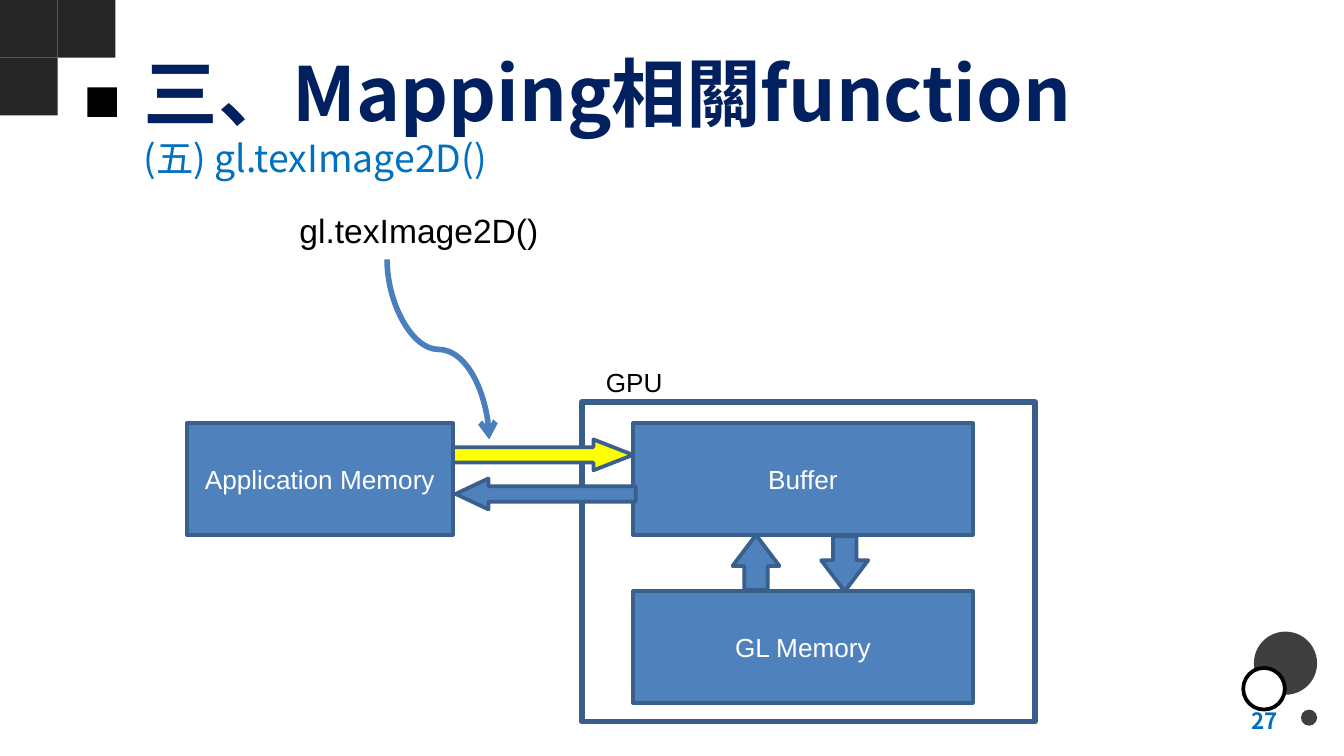
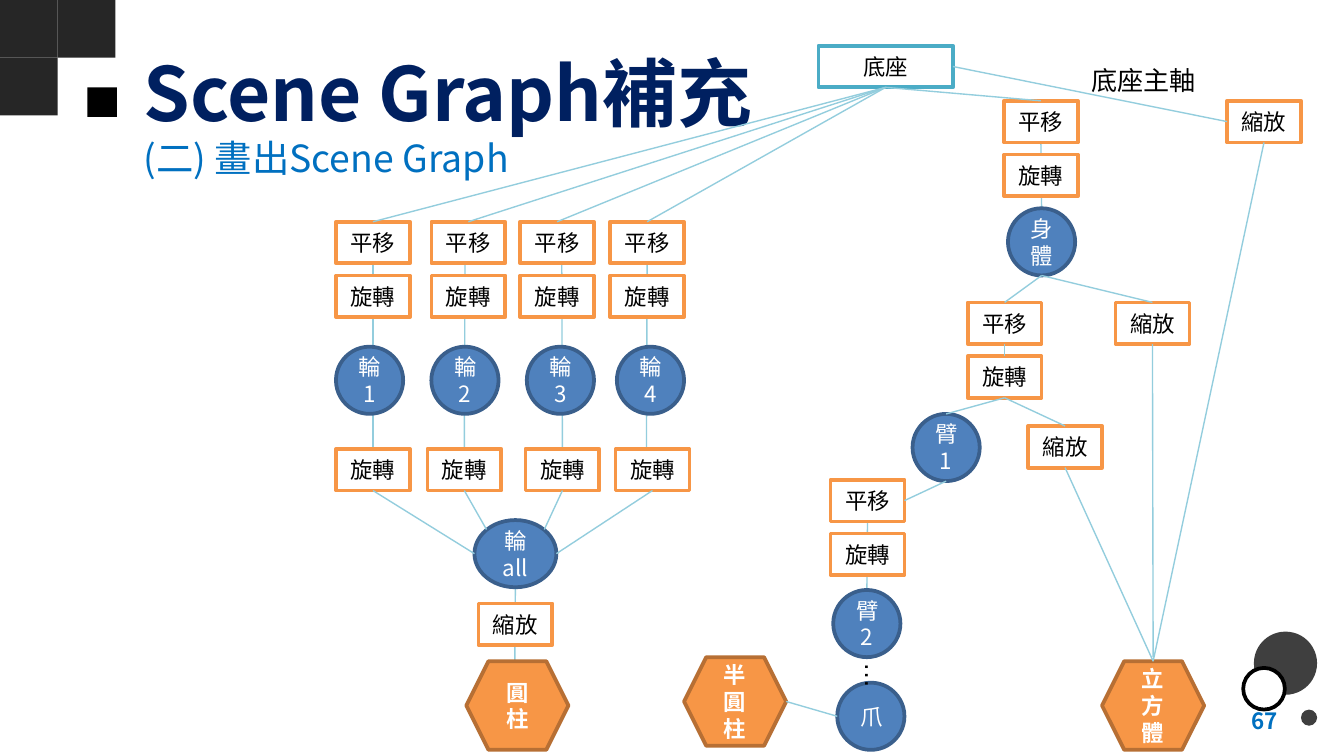
from lxml.etree import SubElement
from pptx import Presentation
from pptx.dml.color import RGBColor
from pptx.enum.shapes import MSO_CONNECTOR, MSO_SHAPE
from pptx.enum.text import MSO_ANCHOR, MSO_AUTO_SIZE, PP_ALIGN
from pptx.oxml.ns import qn
from pptx.util import Pt

PX = 9144
WIDTH = 1000

WHITE = RGBColor(0xFF, 0xFF, 0xFF)
BLACK = RGBColor(0x00, 0x00, 0x00)
CHARCOAL = RGBColor(0x26, 0x26, 0x26)
GRAY = RGBColor(0x3F, 0x3F, 0x3F)
NAVY = RGBColor(0x00, 0x20, 0x60)
SKY = RGBColor(0x00, 0x70, 0xC0)
BLUE = RGBColor(0x4F, 0x81, 0xBD)
BLUE_EDGE = RGBColor(0x3A, 0x5F, 0x8C)
CURVE_BLUE = RGBColor(0x4B, 0x7E, 0xBC)
YELLOW = RGBColor(0xFF, 0xFF, 0x00)
ORANGE = RGBColor(0xF7, 0x96, 0x46)
ORANGE_EDGE = RGBColor(0xB7, 0x6F, 0x34)
TEAL = RGBColor(0x4B, 0xAC, 0xC6)
PALE_TEAL = RGBColor(0x93, 0xCD, 0xDD)

HEAD_FONT = "Noto Sans CJK TC"
NODE_FONT = "Noto Sans CJK SC"
BODY_FONT = "Arial"

RECT, OVAL = MSO_SHAPE.RECTANGLE, MSO_SHAPE.OVAL
TOP, LEFT, BOTTOM, RIGHT = range(4)

CORNER = [
    (RECT, (0, 0, 43, 43), CHARCOAL, None),
    (RECT, (43, 0, 43, 43), CHARCOAL, None),
    (RECT, (0, 43, 43, 43), CHARCOAL, None),
    (RECT, (65, 65, 22, 22), BLACK, None),
]
BUBBLES = [
    (OVAL, (933, 470, 47, 47), GRAY, None),
    (OVAL, (968, 528, 12, 12), GRAY, None),
    (OVAL, (925, 497, 31, 31), WHITE, BLACK),
]

MEMORY_BLOCKS = [
    ("Application Memory", (139, 315, 198, 83)),
    ("Buffer", (471, 315, 253, 83)),
    ("GL Memory", (471, 440, 253, 83)),
]
GPU_FRAME = (433, 299, 337, 238)
BLOCK_ARROWS = [
    ((337, 327, 134, 23), 0, 1.28, YELLOW),
    ((339, 356, 134, 23), 180, 1.06, BLUE),
    ((542, 401, 41, 35), 270, 0.66, BLUE),
    ((608, 402, 41, 35), 90, 0.66, BLUE),
]
MEMORY_LABELS = [
    ("GPU", (441, 268, 160, 35), 14),
    ("gl.texImage2D()", (213, 151, 350, 35), 18),
]

NODE_STYLES = {
    "root": (RECT, 100, 31, WHITE, TEAL, BLACK, False),
    "step": (RECT, 55, 31, WHITE, ORANGE, BLACK, False),
    "part": (OVAL, 50, 50, BLUE, BLUE_EDGE, WHITE, False),
    "hub": (OVAL, 61, 50, BLUE, BLUE_EDGE, WHITE, False),
    "solid": (MSO_SHAPE.HEXAGON, 76, 66, ORANGE, ORANGE_EDGE, WHITE, True),
}
NODES = {
    "base": ("root", "底座", 609, 34),
    "base scale": ("step", "縮放", 913, 75),
    "body move": ("step", "平移", 747, 75),
    "body turn": ("step", "旋轉", 747, 115),
    "body": ("part", "身體", 750, 155),
    "body scale": ("step", "縮放", 830, 225),
    "arm1 move": ("step", "平移", 720, 225),
    "arm1 turn": ("step", "旋轉", 720, 265),
    "arm1": ("part", "臂1", 679, 308),
    "arm1 scale": ("step", "縮放", 765, 317),
    "arm2 move": ("step", "平移", 618, 357),
    "arm2 turn": ("step", "旋轉", 618, 397),
    "arm2": ("part", "臂2", 620, 439),
    "claw": ("part", "爪", 623, 508),
    "wheels": ("hub", "輪all", 353, 387),
    "wheel scale": ("step", "縮放", 356, 449),
    "cylinder": ("solid", "圓柱", 347, 492),
    "half cylinder": ("solid", "半圓柱", 509, 489),
    "cube": ("solid", "立方體", 820, 492),
}
WHEEL_ROWS = [
    ("move", "step", "平移", 165, (250, 321, 387, 454)),
    ("turn", "step", "旋轉", 205, (250, 321, 387, 454)),
    ("wheel", "part", "輪{}", 258, (250, 321, 392, 459)),
    ("spin", "step", "旋轉", 334, (250, 318, 391, 458)),
]
for role, kind, words, top, lefts in WHEEL_ROWS:
    for number, left in enumerate(lefts, 1):
        NODES[f"{role}{number}"] = (kind, words.format(number), left, top)

STEMS = [
    (("arm2 move", BOTTOM), ("arm2", TOP)),
    (("body move", BOTTOM), ("body", TOP)),
    (("wheels", BOTTOM), (383, 500)),
    (("move4", BOTTOM), (481, 334)),
    ((418, 196), ("spin3", TOP)),
    ((346, 196), ("spin2", TOP)),
    (("move1", BOTTOM), ("spin1", TOP)),
]
BRANCHES = [(("base", BOTTOM), (f"move{number}", TOP)) for number in range(1, 5)] + [
    (("base", BOTTOM), ("body move", TOP)),
    (("base", RIGHT), ("base scale", LEFT)),
    (("spin1", BOTTOM), ("wheels", LEFT)),
    (("spin2", BOTTOM), (362, 394)),
    (("spin3", BOTTOM), (405, 394)),
    (("spin4", BOTTOM), ("wheels", RIGHT)),
    (("body", BOTTOM), ("arm1 move", TOP)),
    (("body", BOTTOM), ("body scale", TOP)),
    (("arm1 move", BOTTOM), ("arm1 turn", TOP)),
    (("arm1 turn", BOTTOM), ("arm1", TOP)),
    (("arm1 turn", BOTTOM), ("arm1 scale", TOP)),
    (("arm1", BOTTOM), ("arm2 move", RIGHT)),
    (("half cylinder", RIGHT), ("claw", LEFT)),
    (("body scale", BOTTOM), (858, 489)),
    (("arm1 scale", BOTTOM), ("cube", TOP)),
    (("base scale", BOTTOM), ("cube", TOP)),
]


def emu(values):
    return [int(value * PX) for value in values]


def write(frame, text, size=12, font=NODE_FONT, color=BLACK, bold=False,
          align=PP_ALIGN.LEFT, anchor=MSO_ANCHOR.TOP, wrap=True,
          fit=MSO_AUTO_SIZE.NONE):
    frame.word_wrap = wrap
    frame.auto_size = fit
    frame.vertical_anchor = anchor
    para = frame.paragraphs[0]
    para.alignment = align
    span = para.add_run()
    span.text = text
    span.font.size = Pt(size)
    span.font.bold = bold
    span.font.color.rgb = color
    span.font.name = font
    SubElement(span.font._element, qn("a:ea"), typeface=font)


def add_text(shapes, text, place, **style):
    box = shapes.add_textbox(*emu(place))
    write(box.text_frame, text, **style)
    return box


def add_figure(shapes, kind, place, fill=None, edge=None, weight=2):
    figure = shapes.add_shape(kind, *emu(place))
    figure.shadow.inherit = False
    if fill is None:
        figure.fill.background()
    else:
        figure.fill.solid()
        figure.fill.fore_color.rgb = fill
    if edge is None:
        figure.line.fill.background()
    else:
        figure.line.color.rgb = edge
        figure.line.width = Pt(weight)
    return figure


def add_line(shapes, kind, begin, end, color, weight):
    line = shapes.add_connector(kind, *emu((*begin, *end)))
    line.line.color.rgb = color
    line.line.width = Pt(weight)
    SubElement(line.element.spPr, qn("a:effectLst"))
    return line


def start_page(deck, title, title_width, subtitle, subtitle_width, number):
    page = deck.slides.add_slide(deck.slide_layouts[5])
    heading = page.shapes.title
    heading.left, heading.top, heading.width, heading.height = emu((97, 21, title_width, 94))
    write(heading.text_frame, title, size=40, font=HEAD_FONT, color=NAVY,
          bold=True, anchor=MSO_ANCHOR.MIDDLE)
    for pieces in (CORNER, BUBBLES):
        group = page.shapes.add_group_shape()
        for piece in pieces:
            add_figure(group.shapes, *piece)
    add_text(page.shapes, number, (728, 521, 233, 30), font=HEAD_FONT, color=SKY,
             bold=True, align=PP_ALIGN.RIGHT, anchor=MSO_ANCHOR.MIDDLE)
    add_text(page.shapes, subtitle, (97, 96, subtitle_width, 44), size=20,
             font=HEAD_FONT, color=SKY)
    return page


def build_memory_page(deck):
    page = start_page(deck, "三、Mapping相關function", 821, "(五) gl.texImage2D()", 306, "27")
    shapes = page.shapes.add_group_shape().shapes
    add_figure(shapes, RECT, GPU_FRAME, edge=BLUE_EDGE, weight=3)
    for text, place in MEMORY_BLOCKS:
        block = add_figure(shapes, RECT, place, BLUE, BLUE_EDGE)
        write(block.text_frame, text, size=14, font=BODY_FONT, color=WHITE,
              align=PP_ALIGN.CENTER, anchor=MSO_ANCHOR.MIDDLE)
    for place, turn, head, fill in BLOCK_ARROWS:
        arrow = add_figure(shapes, MSO_SHAPE.RIGHT_ARROW, place, fill, BLUE_EDGE)
        arrow.rotation = turn
        arrow.adjustments[0] = 0.5
        arrow.adjustments[1] = head
    curve = add_line(shapes, MSO_CONNECTOR.CURVE, (393, 222), (259, 298), CURVE_BLUE, 3)
    curve.element.spPr.find(qn("a:xfrm")).set("rot", str(270 * 60000))
    SubElement(curve.element.spPr.find(qn("a:ln")), qn("a:tailEnd"), type="arrow")
    for text, place, size in MEMORY_LABELS:
        add_text(shapes, text, place, size=size, font=BODY_FONT,
                 fit=MSO_AUTO_SIZE.SHAPE_TO_FIT_TEXT)


def locate(end):
    if end[0] not in NODES:
        return end
    name, side = end
    kind, _, left, top = NODES[name]
    _, width, height, *_ = NODE_STYLES[kind]
    across, down = {TOP: (0.5, 0), LEFT: (0, 0.5), BOTTOM: (0.5, 1), RIGHT: (1, 0.5)}[side]
    return left + width * across, top + height * down


def draw_links(page, links):
    return [add_line(page.shapes, MSO_CONNECTOR.STRAIGHT, locate(begin), locate(end),
                     PALE_TEAL, 0.75) for begin, end in links]


def join_links(lines, links, figures):
    for line, ends in zip(lines, links):
        for join, (name, side) in zip((line.begin_connect, line.end_connect), ends):
            if name in NODES and NODES[name][0] in ("root", "step"):
                join(figures[name], side)


def build_graph_page(deck):
    page = start_page(deck, "Scene Graph補充", 697, "(二) 畫出Scene Graph", 589, "67")
    stems = draw_links(page, STEMS)
    figures = {}
    for name, (kind, text, left, top) in NODES.items():
        shape, width, height, fill, edge, color, bold = NODE_STYLES[kind]
        figure = add_figure(page.shapes, shape, (left, top, width, height), fill, edge)
        write(figure.text_frame, text, color=color, bold=bold,
              align=PP_ALIGN.CENTER, anchor=MSO_ANCHOR.MIDDLE)
        figures[name] = figure
    branches = draw_links(page, BRANCHES)
    join_links(stems, STEMS, figures)
    join_links(branches, BRANCHES, figures)
    dots = add_text(page.shapes, "…", (631, 486, 40, 34), size=14, font=BODY_FONT,
                    wrap=False, fit=MSO_AUTO_SIZE.SHAPE_TO_FIT_TEXT)
    dots.rotation = 90
    add_text(page.shapes, "底座主軸", (802, 43, 99, 34), size=14, wrap=False,
             fit=MSO_AUTO_SIZE.SHAPE_TO_FIT_TEXT)


def main():
    deck = Presentation()
    deck.slide_width = WIDTH * PX
    deck.slide_height = WIDTH * PX * 9 // 16
    build_memory_page(deck)
    build_graph_page(deck)
    deck.save("out.pptx")


if __name__ == "__main__":
    main()
